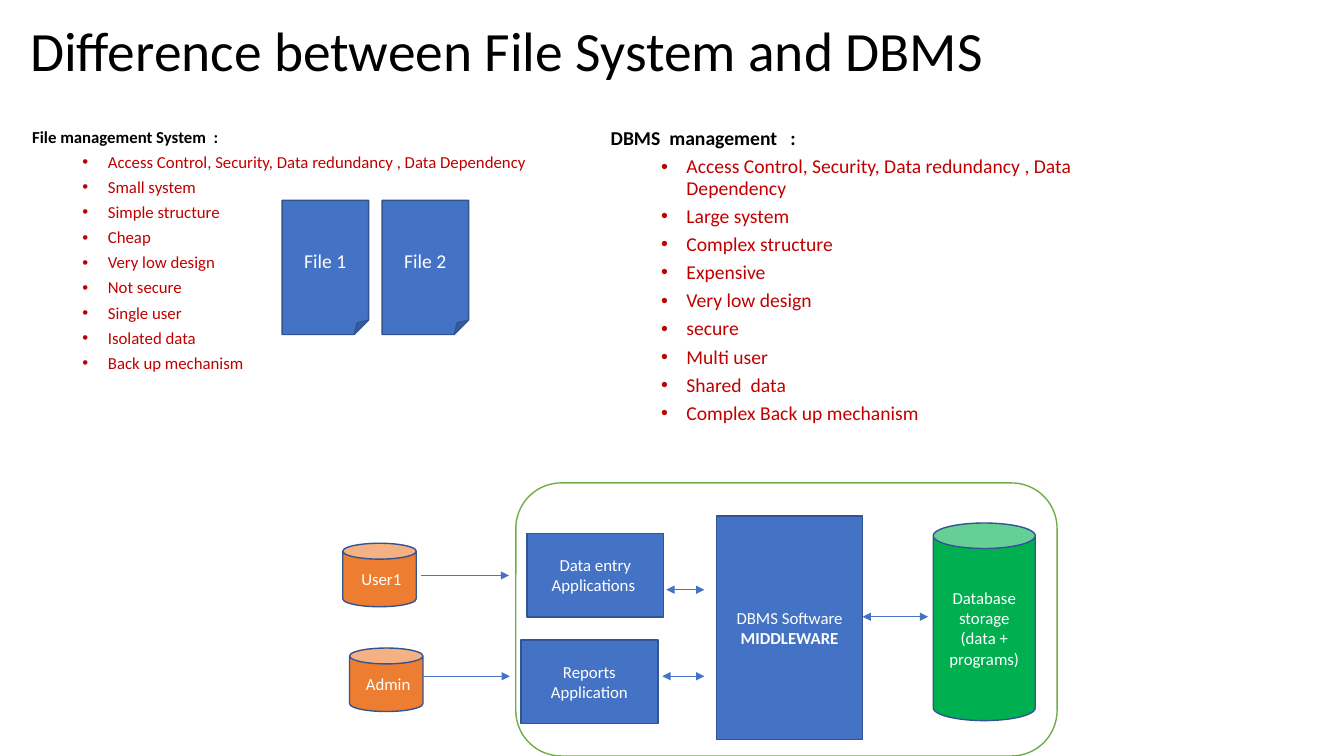
from lxml import etree
from pptx import Presentation
from pptx.dml.color import RGBColor
from pptx.enum.shapes import MSO_CONNECTOR, MSO_SHAPE
from pptx.enum.text import MSO_ANCHOR, PP_ALIGN
from pptx.oxml.ns import qn
from pptx.util import Cm, Pt

RECT, ROUND = MSO_SHAPE.RECTANGLE, MSO_SHAPE.ROUNDED_RECTANGLE
CAN, FOLDED = MSO_SHAPE.CAN, MSO_SHAPE.FOLDED_CORNER
STRAIGHT = MSO_CONNECTOR.STRAIGHT
CENTER, MIDDLE = PP_ALIGN.CENTER, MSO_ANCHOR.MIDDLE

BLACK = RGBColor(0x00, 0x00, 0x00)
WHITE = RGBColor(0xFF, 0xFF, 0xFF)
RED = RGBColor(0xC0, 0x00, 0x00)
BLUE = RGBColor(0x44, 0x72, 0xC4)
DARK_BLUE = RGBColor(0x32, 0x54, 0x91)
GREEN = RGBColor(0x00, 0xB0, 0x50)
LIGHT_GREEN = RGBColor(0x70, 0xAD, 0x47)
ORANGE = RGBColor(0xED, 0x7D, 0x31)


def add_run(p, text, size=12, color=WHITE, bold=False):
    r = p.add_run()
    r.text = text
    r.font.name = "Calibri"
    r.font.size = Pt(size)
    r.font.bold = bold
    r.font.color.rgb = color


prs = Presentation()
prs.slide_width, prs.slide_height = Cm(33.87), Cm(19.05)
s = prs.slides.add_slide(prs.slide_layouts[6])

title = s.shapes.add_textbox(Cm(0.51), Cm(0.38), Cm(29.21), Cm(1.93))
tf = title.text_frame
tf.word_wrap = True
tf.vertical_anchor = MIDDLE
tf.paragraphs[0].line_spacing = 0.9
add_run(tf.paragraphs[0], "Difference between File System and DBMS", size=39.6, color=BLACK)

lists = [
    (0.56, 7.39, 12, "File management System  :", [
        "Access Control, Security, Data redundancy , Data Dependency",
        "Small system", "Simple structure", "Cheap", "Very low design",
        "Not secure", "Single user", "Isolated data", "Back up mechanism"]),
    (15.14, 12.09, 14, "DBMS  management   :", [
        "Access Control, Security, Data redundancy , Data Dependency",
        "Large system", "Complex structure", "Expensive", "Very low design",
        "secure", "Multi user", "Shared  data", "Complex Back up mechanism"]),
]
for x, h, size, heading, items in lists:
    tf = s.shapes.add_textbox(Cm(x), Cm(3.12), Cm(13.16), Cm(h)).text_frame
    tf.word_wrap = True
    tf.paragraphs[0].line_spacing = 0.9
    add_run(tf.paragraphs[0], heading, size=size, color=BLACK, bold=True)
    for item in items:
        p = tf.add_paragraph()
        pPr = p._p.get_or_add_pPr()
        pPr.set("marL", str(Cm(1.91)))
        pPr.set("indent", str(-Cm(0.64)))
        etree.SubElement(pPr, qn("a:buFont")).set("typeface", "Arial")
        etree.SubElement(pPr, qn("a:buChar")).set("char", "•")
        p.level = 1
        p.line_spacing = 0.9
        p.space_before = Pt(5)
        add_run(p, item, size=size, color=RED)

shapes = [
    (FOLDED, 7.11, 5.05, 2.18, 3.38, BLUE, DARK_BLUE, 14, ["File 1"]),
    (FOLDED, 9.63, 5.05, 2.18, 3.38, BLUE, DARK_BLUE, 14, ["File 2"]),
    (ROUND, 13, 12.17, 13.64, 6.88, WHITE, LIGHT_GREEN, 12, []),
    (RECT, 13.28, 13.44, 3.45, 2.11, BLUE, DARK_BLUE, 12, ["Data entry Applications "]),
    (RECT, 13.13, 16.13, 3.45, 2.11, BLUE, DARK_BLUE, 12, ["Reports Application"]),
    (CAN, 23.52, 13.18, 2.57, 4.98, GREEN, DARK_BLUE, 12, ["Database storage (data + programs)"]),
    (RECT, 18.06, 13, 3.68, 5.64, BLUE, DARK_BLUE, 12, ["DBMS Software ", "MIDDLEWARE"]),
    (CAN, 8.64, 13.69, 1.85, 1.6, ORANGE, DARK_BLUE, 12, [" User1"]),
    (CAN, 8.81, 16.33, 1.85, 1.6, ORANGE, DARK_BLUE, 12, [" Admin"]),
]
for kind, x, y, w, h, fill, line, size, texts in shapes:
    sp = s.shapes.add_shape(kind, Cm(x), Cm(y), Cm(w), Cm(h))
    sp.shadow.inherit = False
    sp.fill.solid()
    sp.fill.fore_color.rgb = fill
    sp.line.color.rgb = line
    sp.line.width = Pt(1)
    tf = sp.text_frame
    tf.word_wrap = True
    tf.vertical_anchor = MIDDLE
    tf.paragraphs[0].alignment = CENTER
    for text in texts:
        add_run(tf.paragraphs[0], text, size=size, bold=text == "MIDDLEWARE")

arrows = [
    (16.79, 17.75, 14.86, ["headEnd", "tailEnd"]),
    (16.69, 17.75, 17.04, ["headEnd", "tailEnd"]),
    (21.74, 23.39, 15.54, ["headEnd", "tailEnd"]),
    (10.62, 12.83, 14.5, ["tailEnd"]),
    (10.67, 12.85, 17.04, ["tailEnd"]),
]
for x1, x2, y, ends in arrows:
    arrow = s.shapes.add_connector(STRAIGHT, Cm(x1), Cm(y), Cm(x2), Cm(y))
    arrow.line.color.rgb = BLUE
    arrow.line.width = Pt(0.5)
    for end in ends:
        etree.SubElement(arrow.line._get_or_add_ln(), qn("a:" + end)).set("type", "triangle")
    etree.SubElement(arrow._element.spPr, qn("a:effectLst"))

prs.save("out.pptx")
